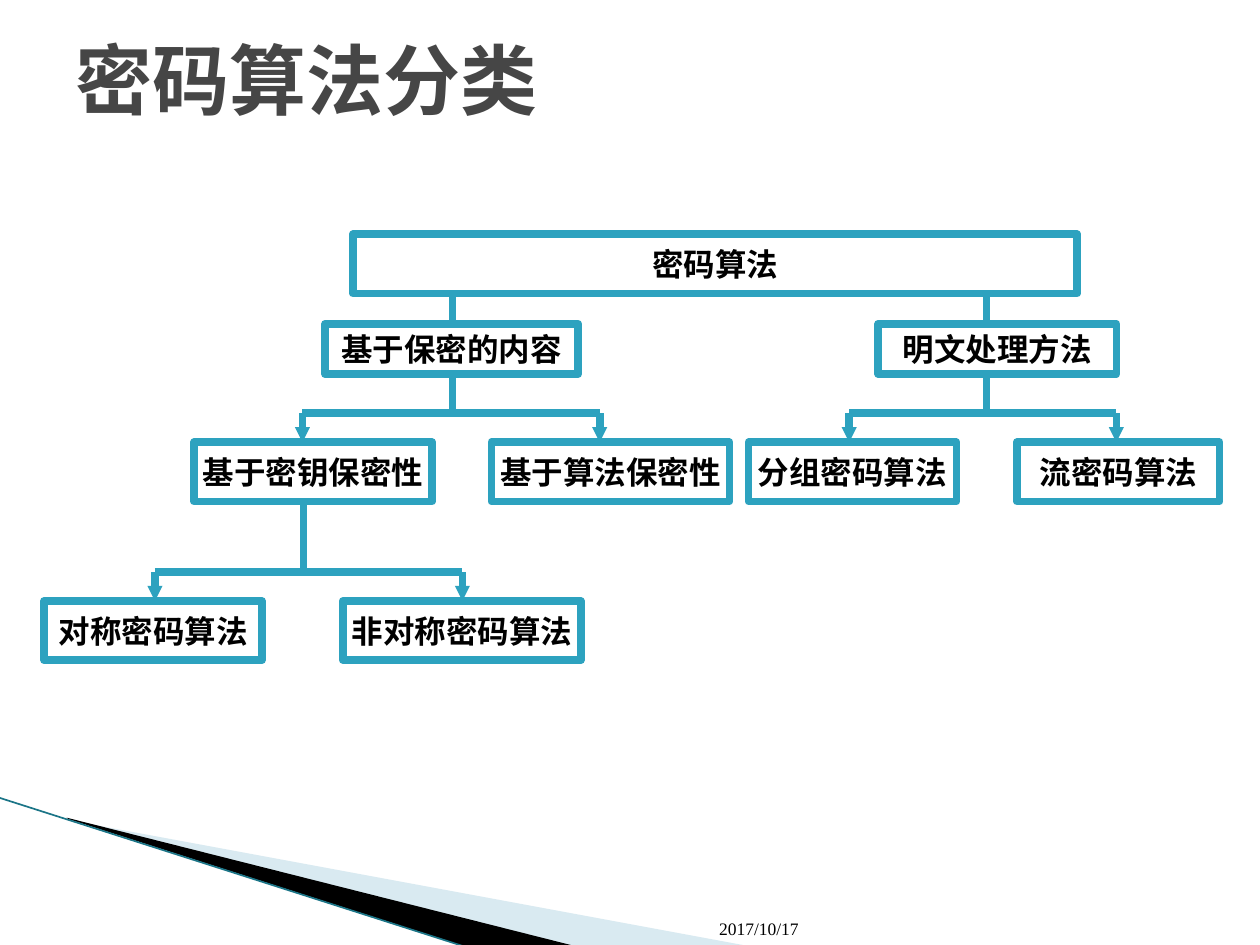
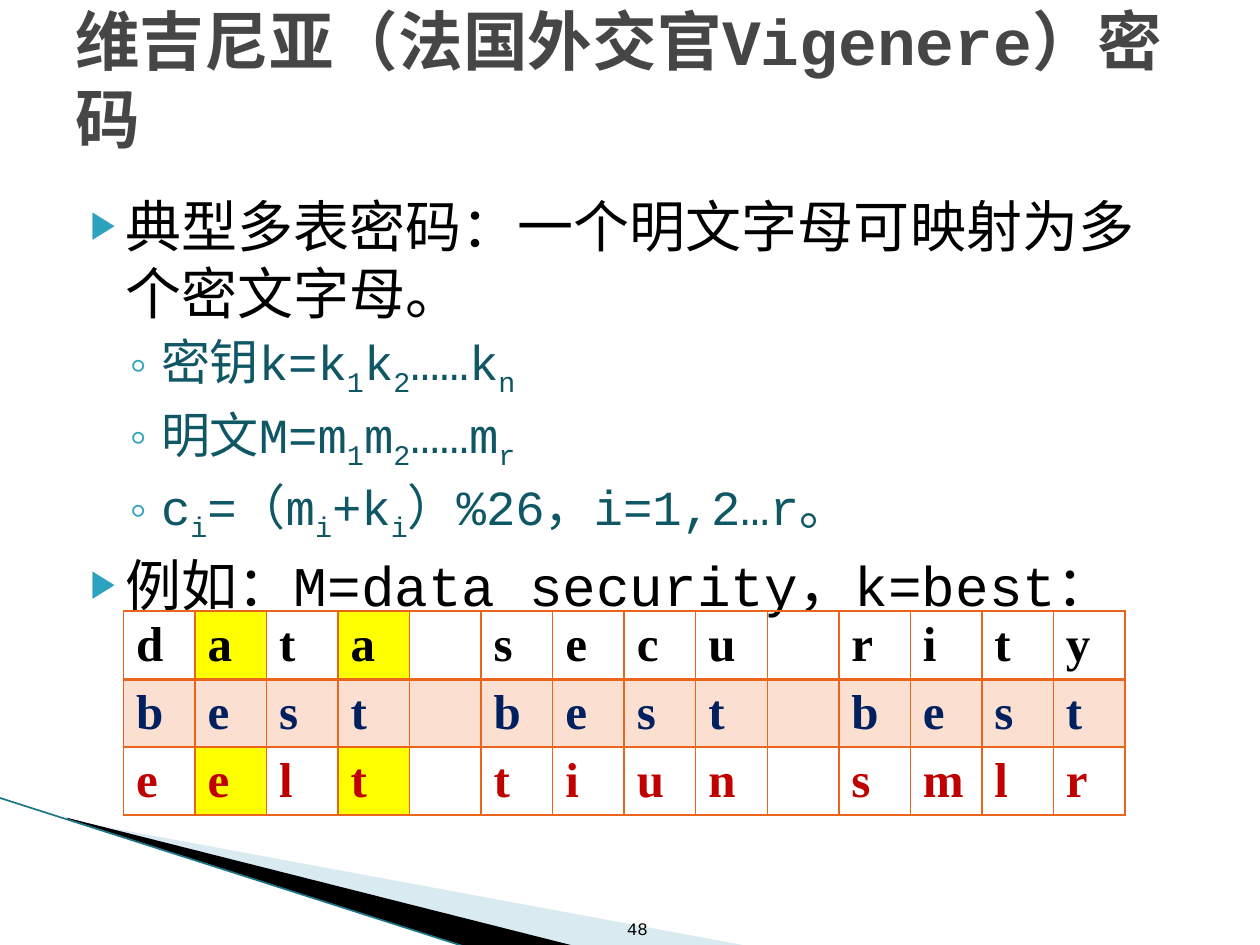
"""Build two slides on cipher families and the Vigenere cipher."""
import dataclasses

import lxml.etree
import pptx
import pptx.dml.color
import pptx.enum.shapes
import pptx.enum.text
import pptx.oxml.ns
import pptx.presentation
import pptx.slide
import pptx.table
import pptx.text.text
import pptx.util

Inches = pptx.util.Inches
Pt = pptx.util.Pt
RGBColor = pptx.dml.color.RGBColor
Align = pptx.enum.text.PP_ALIGN
Anchor = pptx.enum.text.MSO_ANCHOR
qn = pptx.oxml.ns.qn

WHITE = RGBColor(0xFF, 0xFF, 0xFF)
BLACK = RGBColor(0x00, 0x00, 0x00)
TITLE_GREY = RGBColor(0x46, 0x46, 0x46)
TEAL = RGBColor(0x2D, 0xA2, 0xBF)
DEEP_TEAL = RGBColor(0x10, 0x57, 0x66)
EDGE_TEAL = RGBColor(0x1B, 0x75, 0x87)
PALE_BLUE = RGBColor(0xA0, 0xCB, 0xDC)
ORANGE = RGBColor(0xEB, 0x64, 0x1B)
PEACH = RGBColor(0xFB, 0xE0, 0xD1)
YELLOW = RGBColor(0xFF, 0xFF, 0x00)
NAVY = RGBColor(0x00, 0x20, 0x60)
RED = RGBColor(0xC0, 0x00, 0x00)
MONO = "Courier New"
SERIF = "Times New Roman"
TREE_LINE = 4.33


@dataclasses.dataclass(frozen=True)
class Style:
    """Look of a run of text."""
    size: float
    color: RGBColor = BLACK
    font: str = MONO
    bold: bool = False


@dataclasses.dataclass(frozen=True)
class Area:
    """Place of an object in inches."""
    left: float
    top: float
    width: float
    height: float

    def lengths(self) -> list[pptx.util.Length]:
        """Return the four values as lengths."""
        return [Inches(value) for value in dataclasses.astuple(self)]


@dataclasses.dataclass(frozen=True)
class Wedge:
    """Filled outline of the corner band, drawn beyond its frame."""
    frame: Area
    points: tuple[tuple[float, float], ...]
    color: RGBColor
    opacity: int = 100


@dataclasses.dataclass(frozen=True)
class Node:
    """Labelled box of the tree."""
    label: str
    area: Area


@dataclasses.dataclass(frozen=True)
class Fork:
    """Stem that splits into two arrows."""
    stem: float
    top: float
    bar: float
    left: float
    right: float


@dataclasses.dataclass(frozen=True)
class Level:
    """Bullet level of the body text."""
    style: Style
    bullet: str
    scale: int
    margin: float
    hanging: float
    before: float


@dataclasses.dataclass(frozen=True)
class CipherRow:
    """Row of letters, with a blank for each empty cell."""
    letters: str
    color: RGBColor
    fill: RGBColor | None = None
    marked: tuple[int, ...] = ()


TITLE_AREA = Area(0.5, 0, 9, 1.25)
NODE_STYLE = Style(18, bold=True)
TOP_LEVEL = Level(Style(32), "▶", 68, 0.4, 0.28, 4)
SUB_LEVEL = Level(Style(28, DEEP_TEAL), "◦", 100, 0.68, 0.25, 3.2)

WEDGES = [
    Wedge(Area(0.78, 5.47, 4.16, 1.58),
          ((0.55, 6.51), (5.95, 7.51), (4.56, 7.51), (0.55, 6.5)), PALE_BLUE, 40),
    Wedge(Area(-0.06, 6.33, 4.16, 0.92),
          ((0.53, 6.49), (4.57, 7.51), (3.72, 7.52), (0.54, 6.5)), BLACK),
]
FORKS = [
    Fork(3.59, 2.33, 3.28, 2.4, 4.76),
    Fork(7.83, 2.33, 3.28, 6.74, 8.86),
    Fork(2.41, 3.99, 4.54, 1.23, 3.67),
]
NODES = [
    Node("密码算法", Area(2.8, 1.86, 5.75, 0.47)),
    Node("基于保密的内容", Area(2.58, 2.57, 2.01, 0.4)),
    Node("明文处理方法", Area(6.97, 2.57, 1.89, 0.4)),
    Node("基于密钥保密性", Area(1.54, 3.51, 1.89, 0.47)),
    Node("基于算法保密性", Area(3.9, 3.51, 1.89, 0.47)),
    Node("分组密码算法", Area(5.94, 3.51, 1.65, 0.47)),
    Node("流密码算法", Area(8.07, 3.51, 1.61, 0.47)),
    Node("对称密码算法", Area(0.35, 4.77, 1.73, 0.47)),
    Node("非对称密码算法", Area(2.72, 4.77, 1.89, 0.47)),
]
BODY = [
    (TOP_LEVEL, ["典型多表密码：一个明文字母可映射为多个密文字母。"]),
    (SUB_LEVEL, ["密钥k=k", "1", "k", "2", "……k", "n"]),
    (SUB_LEVEL, ["明文M=m", "1", "m", "2", "……m", "r"]),
    (SUB_LEVEL, ["c", "i", "=（m", "i", "+k", "i", "）%26，i=1,2…r。"]),
    (TOP_LEVEL, ["例如：M=data security，k=best："]),
]
CIPHER_ROWS = [
    CipherRow("data secu rity", BLACK, marked=(1, 3)),
    CipherRow("best best best", NAVY, PEACH),
    CipherRow("eelt tiun smlr", RED, marked=(1, 3)),
]


def add_span(para: pptx.text.text._Paragraph, text: str, style: Style) -> pptx.text.text._Run:
    """Append one styled run to a paragraph."""
    span = para.add_run()
    span.text = text
    span.font.size = Pt(style.size)
    span.font.name = style.font
    span.font.bold = style.bold
    span.font.color.rgb = style.color
    return span


def add_text(page: pptx.slide.Slide, area: Area, spans: list[tuple[str, Style]],
             anchor: Anchor, align: Align = Align.LEFT) -> None:
    """Add a wrapped text box with one paragraph."""
    frame = page.shapes.add_textbox(*area.lengths()).text_frame
    frame.word_wrap = True
    frame.vertical_anchor = anchor
    frame.paragraphs[0].alignment = align
    for text, style in spans:
        add_span(frame.paragraphs[0], text, style)


def add_line(page: pptx.slide.Slide, start: tuple[float, float], end: tuple[float, float],
             color: RGBColor, width: float, arrow: bool = False) -> None:
    """Draw a straight line, with an arrowhead at its end on request."""
    line = page.shapes.add_connector(pptx.enum.shapes.MSO_CONNECTOR.STRAIGHT,
                                     *map(Inches, start + end))
    line.line.color.rgb = color
    line.line.width = Pt(width)
    properties = line._element.spPr
    if arrow:
        lxml.etree.SubElement(properties.find(qn("a:ln")), qn("a:tailEnd"),
                              type="triangle", w="sm", len="sm")
    lxml.etree.SubElement(properties, qn("a:effectLst"))


def add_wedge(page: pptx.slide.Slide, wedge: Wedge) -> None:
    """Draw a wedge and refer its outline to its frame."""
    corners = [(Inches(x), Inches(y)) for x, y in wedge.points]
    builder = page.shapes.build_freeform(*corners[0])
    builder.add_line_segments(corners[1:])
    shape = builder.convert_to_shape()
    shape.shadow.inherit = False
    shape.fill.solid()
    shape.fill.fore_color.rgb = wedge.color
    shape.line.fill.background()
    properties = shape._element.spPr
    left, top, width, height = wedge.frame.lengths()
    for point in properties.iter(qn("a:pt")):
        point.set("x", str(int(point.get("x")) + shape.left - left))
        point.set("y", str(int(point.get("y")) + shape.top - top))
    for outline in properties.iter(qn("a:path")):
        outline.set("w", str(width))
        outline.set("h", str(height))
    shape.left, shape.top, shape.width, shape.height = left, top, width, height
    if wedge.opacity < 100:
        shade = properties.find(qn("a:solidFill"))[0]
        lxml.etree.SubElement(shade, qn("a:alpha"), val=str(wedge.opacity * 1000))


def add_page(deck: pptx.presentation.Presentation,
             title: list[tuple[str, Style]]) -> pptx.slide.Slide:
    """Add a blank slide with the corner band and a title."""
    page = deck.slides.add_slide(deck.slide_layouts[6])
    for wedge in WEDGES:
        add_wedge(page, wedge)
    add_line(page, (-0.01, 6.33), (3.71, 7.52), EDGE_TEAL, 0.95)
    add_text(page, TITLE_AREA, title, Anchor.MIDDLE)
    return page


def add_fork(page: pptx.slide.Slide, fork: Fork) -> None:
    """Draw the stem, the bar and two arrows of a fork."""
    add_line(page, (fork.stem, fork.top), (fork.stem, fork.bar), TEAL, TREE_LINE)
    add_line(page, (fork.left, fork.bar), (fork.right, fork.bar), TEAL, TREE_LINE)
    for x in (fork.left, fork.right):
        add_line(page, (x, fork.bar), (x, fork.bar + 0.23), TEAL, TREE_LINE, arrow=True)


def add_node(page: pptx.slide.Slide, node: Node) -> None:
    """Draw a labelled box of the tree."""
    box = page.shapes.add_shape(pptx.enum.shapes.MSO_SHAPE.RECTANGLE, *node.area.lengths())
    box.shadow.inherit = False
    box.fill.solid()
    box.fill.fore_color.rgb = WHITE
    box.line.color.rgb = TEAL
    box.line.width = Pt(TREE_LINE)
    lxml.etree.SubElement(box._element.spPr.find(qn("a:ln")), qn("a:round"))
    box.text_frame.word_wrap = False
    box.text_frame.vertical_anchor = Anchor.MIDDLE
    para = box.text_frame.paragraphs[0]
    para.alignment = Align.CENTER
    add_span(para, node.label, NODE_STYLE)


def set_bullet(para: pptx.text.text._Paragraph, level: Level) -> None:
    """Give a paragraph its bullet and hanging indent."""
    properties = para._p.get_or_add_pPr()
    properties.set("marL", str(Inches(level.margin)))
    properties.set("indent", str(-Inches(level.hanging)))
    color = lxml.etree.SubElement(properties, qn("a:buClr"))
    lxml.etree.SubElement(color, qn("a:srgbClr"), val=str(TEAL))
    lxml.etree.SubElement(properties, qn("a:buSzPct"), val=str(level.scale * 1000))
    lxml.etree.SubElement(properties, qn("a:buFont"), typeface=SERIF)
    lxml.etree.SubElement(properties, qn("a:buChar"), char=level.bullet)


def add_body(page: pptx.slide.Slide) -> None:
    """Add the bulleted text, in which every second part is a subscript."""
    frame = page.shapes.add_textbox(*Area(0.5, 1.47, 9, 4.95).lengths()).text_frame
    frame.word_wrap = True
    for index, (level, parts) in enumerate(BODY):
        para = frame.add_paragraph() if index else frame.paragraphs[0]
        set_bullet(para, level)
        if index:
            para.space_before = Pt(level.before)
        for position, part in enumerate(parts):
            span = add_span(para, part, level.style)
            if position % 2:
                span.font._element.set("baseline", "-25000")


def set_borders(cell: pptx.table._Cell, widths: dict[str, float]) -> None:
    """Draw the orange borders of a cell ahead of its fill."""
    properties = cell._tc.get_or_add_tcPr()
    for index, (side, width) in enumerate(widths.items()):
        border = lxml.etree.Element(qn(f"a:{side}"), w=str(Pt(width)))
        fill = lxml.etree.SubElement(border, qn("a:solidFill"))
        lxml.etree.SubElement(fill, qn("a:srgbClr"), val=str(ORANGE))
        properties.insert(index, border)


def add_cipher_table(page: pptx.slide.Slide) -> None:
    """Add the table of plain, key and cipher letters."""
    rows, columns = len(CIPHER_ROWS), len(CIPHER_ROWS[0].letters)
    area = Area(0.98, 4.85, 7.95, 1.62)
    table = page.shapes.add_table(rows, columns, *area.lengths()).table
    table.first_row = table.horz_banding = False
    for row_index, row in enumerate(CIPHER_ROWS):
        for column, letter in enumerate(row.letters):
            cell = table.cell(row_index, column)
            cell.margin_bottom = Inches(0.02)
            fill = YELLOW if column in row.marked else row.fill
            if fill is None:
                cell.fill.background()
            else:
                cell.fill.solid()
                cell.fill.fore_color.rgb = fill
            set_borders(cell, {"lnL": 1, "lnR": 1, "lnT": 2 if row_index == 1 else 1,
                               "lnB": 2 if row_index == 0 else 1})
            if letter != " ":
                add_span(cell.text_frame.paragraphs[0], letter,
                         Style(28, row.color, SERIF, True))


def main() -> None:
    """Build and save the deck."""
    deck = pptx.Presentation()
    deck.slide_width, deck.slide_height = Inches(10), Inches(7.5)
    tree = add_page(deck, [("密码算法", Style(44, TITLE_GREY, SERIF, True)),
                           ("分类", Style(44, TITLE_GREY, MONO, True))])
    add_text(tree, Area(5.61, 7.01, 1.12, 0.49),
             [("2017/10/17", Style(10, font=SERIF))], Anchor.BOTTOM)
    for fork in FORKS:
        add_fork(tree, fork)
    for node in NODES:
        add_node(tree, node)
    vigenere = add_page(deck, [("维吉尼亚（法国外交官Vigenere）密码",
                                Style(36.9, TITLE_GREY, MONO, True))])
    add_body(vigenere)
    add_text(vigenere, Area(4.68, 7.01, 0.56, 0.49),
             [("48", Style(10))], Anchor.BOTTOM, Align.RIGHT)
    add_cipher_table(vigenere)
    deck.save("out.pptx")


if __name__ == "__main__":
    main()
